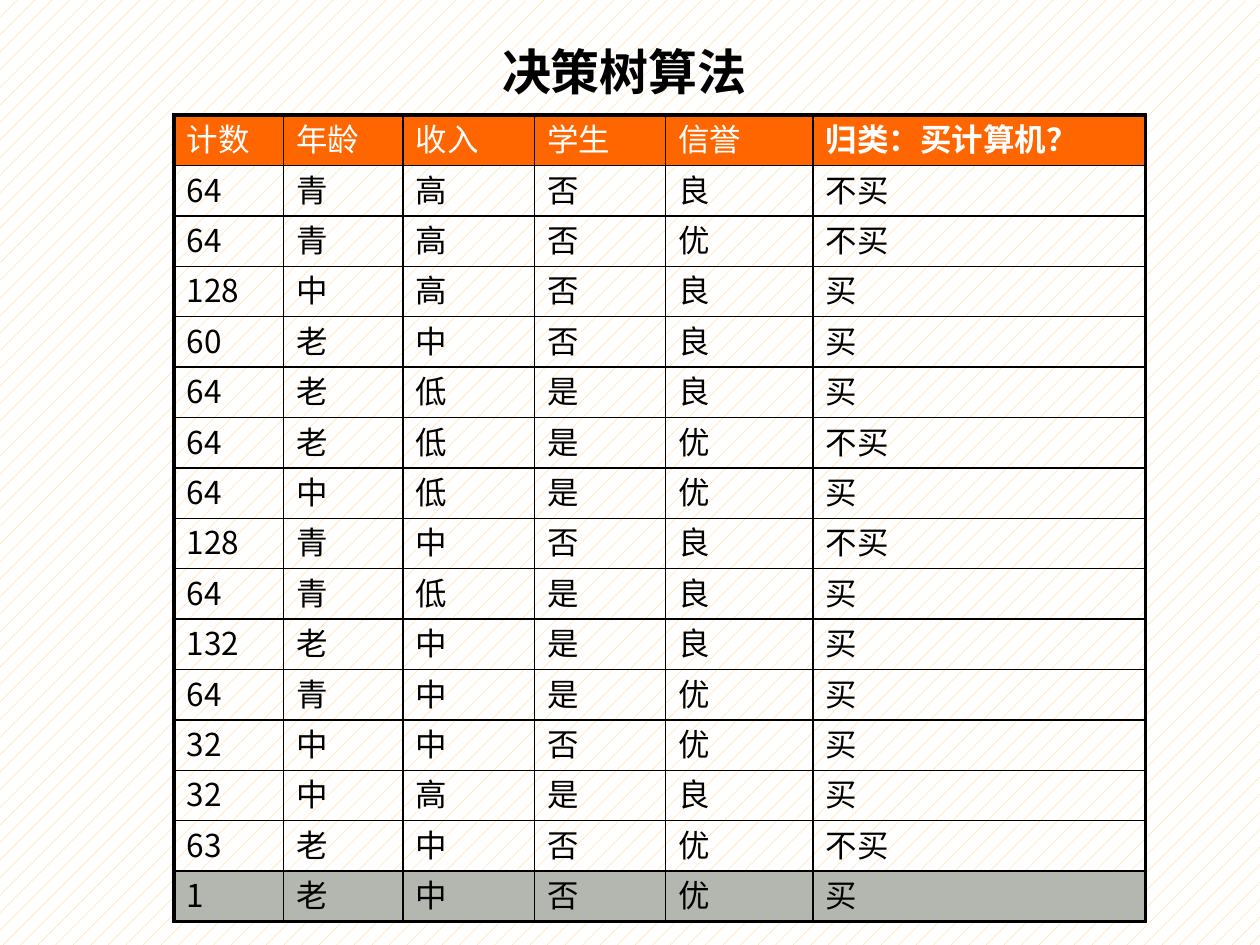
import pptx
import pptx.dml.color
import pptx.enum.dml
import pptx.enum.text
import pptx.oxml.ns
import pptx.util
from lxml import etree

Pt = pptx.util.Pt

# Content
TITLE = "决策树算法"
HEADER = ("计数", "年龄", "收入", "学生", "信誉", "归类：买计算机？")
RECORDS = [
    ("64", "青", "高", "否", "良", "不买"),
    ("64", "青", "高", "否", "优", "不买"),
    ("128", "中", "高", "否", "良", "买"),
    ("60", "老", "中", "否", "良", "买"),
    ("64", "老", "低", "是", "良", "买"),
    ("64", "老", "低", "是", "优", "不买"),
    ("64", "中", "低", "是", "优", "买"),
    ("128", "青", "中", "否", "良", "不买"),
    ("64", "青", "低", "是", "良", "买"),
    ("132", "老", "中", "是", "良", "买"),
    ("64", "青", "中", "是", "优", "买"),
    ("32", "中", "中", "否", "优", "买"),
    ("32", "中", "高", "是", "良", "买"),
    ("63", "老", "中", "否", "优", "不买"),
    ("1", "老", "中", "否", "优", "买"),
]

# Layout and style
COLUMN_WIDTHS = (62.6, 68.4, 75, 75, 84.2, 190)
ROW_HEIGHT = 28.8
TABLE_LEFT, TABLE_TOP = 99.4, 65.8
INNER_LINE, OUTER_LINE = 1, 2.25
CJK_FONT = "Noto Sans CJK JP"
BLACK, WHITE, ORANGE, GREY, YELLOW = "000000", "FFFFFF", "FF6600", "B4B6B0", "FFCC66"


def color(value):
    return pptx.dml.color.RGBColor.from_string(value)


def set_font(paragraph, name, size, value, bold):
    font = paragraph.font
    font.name, font.size, font.bold = name, Pt(size), bold
    font.color.rgb = color(value)
    properties = paragraph._p.pPr.find(pptx.oxml.ns.qn("a:defRPr"))
    east_asian = etree.SubElement(properties, pptx.oxml.ns.qn("a:ea"))
    east_asian.set("typeface", CJK_FONT)


def set_borders(cell, widths):
    properties = cell._tc.get_or_add_tcPr()
    for side, width in widths.items():
        line = etree.SubElement(properties, pptx.oxml.ns.qn(f"a:ln{side}"))
        line.set("w", str(int(Pt(width))))
        fill = etree.SubElement(line, pptx.oxml.ns.qn("a:solidFill"))
        etree.SubElement(fill, pptx.oxml.ns.qn("a:srgbClr")).set("val", BLACK)


def format_cell(cell, text, row, column, last_row, last_column):
    cell.margin_left = cell.margin_right = Pt(7.2)
    cell.margin_top = cell.margin_bottom = 0
    paragraph = cell.text_frame.paragraphs[0]
    paragraph.text = text
    paragraph.space_before = Pt(2.7)
    header = row == 0
    set_font(paragraph, CJK_FONT, 18, WHITE if header else BLACK,
             header and column == last_column)

    outer = {"L": column == 0, "R": column == last_column,
             "T": row == 0, "B": row == last_row}
    set_borders(cell, {side: OUTER_LINE if edge else INNER_LINE
                       for side, edge in outer.items()})
    if row in (0, last_row):
        cell.fill.solid()
        cell.fill.fore_color.rgb = color(ORANGE if header else GREY)
    else:
        cell.fill.background()


def add_records_table(page):
    rows = [HEADER] + RECORDS
    frame = page.shapes.add_table(
        len(rows), len(HEADER), Pt(TABLE_LEFT), Pt(TABLE_TOP),
        Pt(sum(COLUMN_WIDTHS)), Pt(ROW_HEIGHT * len(rows)))
    table = frame.table
    table.first_row = table.horz_banding = False
    for column, width in zip(table.columns, COLUMN_WIDTHS):
        column.width = Pt(width)
    for r, texts in enumerate(rows):
        table.rows[r].height = Pt(ROW_HEIGHT)
        for c, text in enumerate(texts):
            format_cell(table.cell(r, c), text, r, c, len(rows) - 1, len(HEADER) - 1)


def add_title(page):
    box = page.shapes.title
    box.left, box.top, box.width, box.height = Pt(279.4), Pt(20.2), Pt(154.8), Pt(41)
    text = box.text_frame
    text.word_wrap = False
    text.margin_top = text.margin_bottom = 0
    text.vertical_anchor = pptx.enum.text.MSO_ANCHOR.MIDDLE
    para = text.paragraphs[0]
    para.text = TITLE
    para.alignment = pptx.enum.text.PP_ALIGN.CENTER
    set_font(para, "Times New Roman", 28, BLACK, True)


def main():
    deck = pptx.Presentation()
    deck.slide_width, deck.slide_height = Pt(720), Pt(540)
    page = deck.slides.add_slide(deck.slide_layouts[5])

    # Patterned background
    backdrop = page.background.fill
    backdrop.patterned()
    backdrop.pattern = pptx.enum.dml.MSO_PATTERN.PERCENT_5
    backdrop.fore_color.rgb = color(YELLOW)
    backdrop.back_color.rgb = color(WHITE)

    add_records_table(page)
    add_title(page)
    deck.save("out.pptx")


if __name__ == "__main__":
    main()
